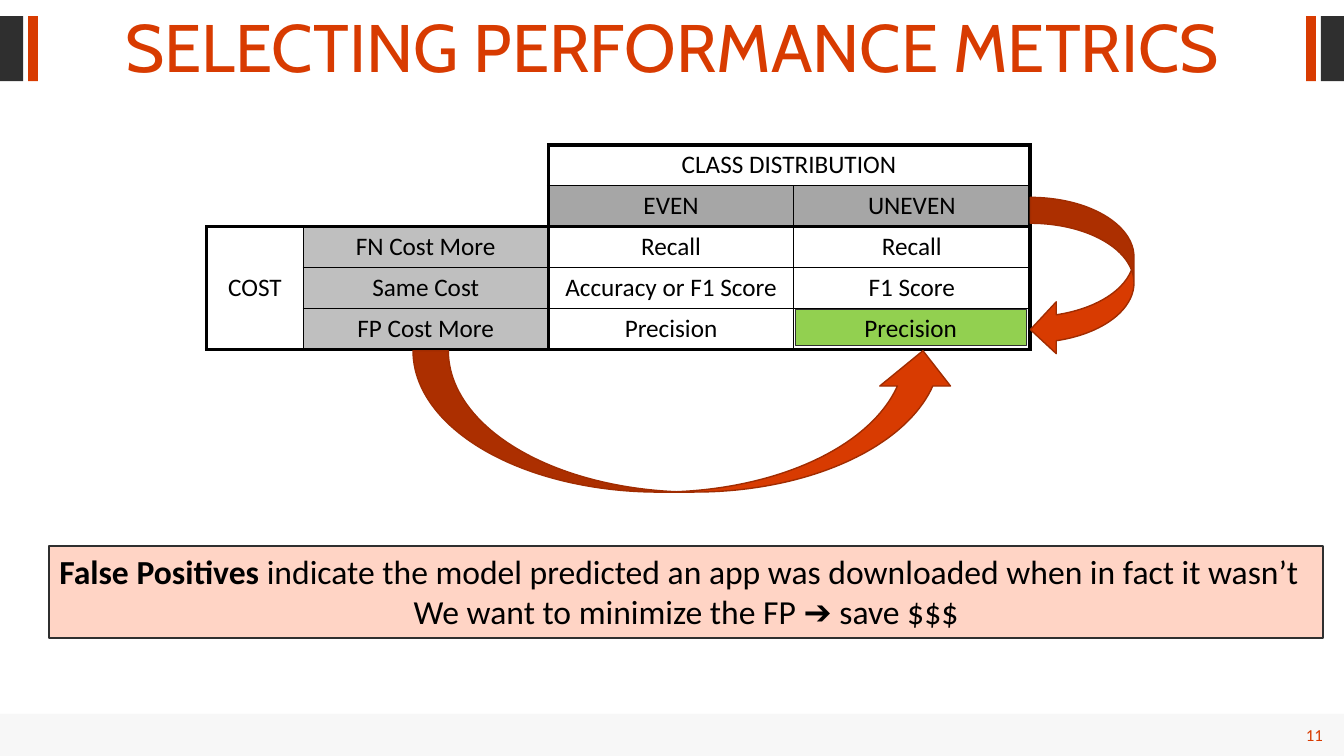
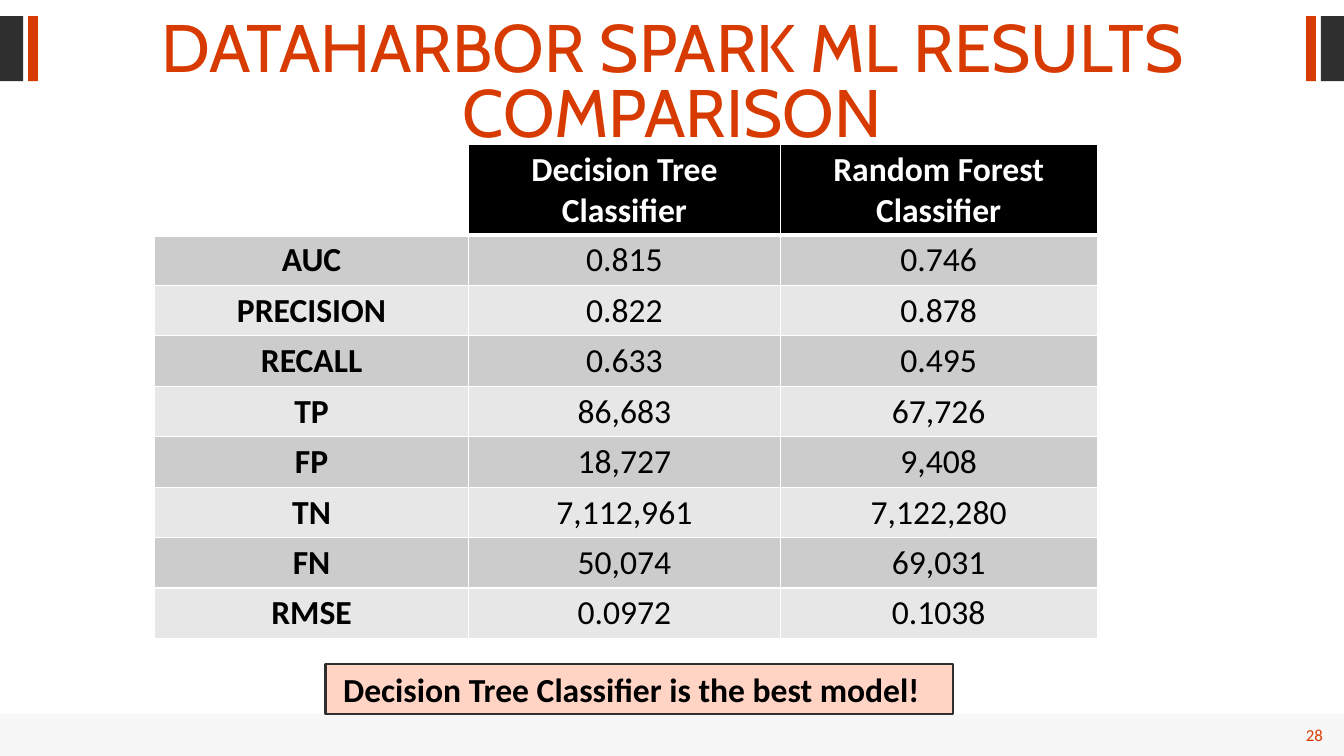
from dataclasses import dataclass
from typing import Any

import lxml.etree
import pptx
import pptx.dml.color
import pptx.enum.shapes
import pptx.enum.text
import pptx.oxml.ns
import pptx.util

Pt = pptx.util.Pt
SHAPE = pptx.enum.shapes.MSO_SHAPE
ALIGN = pptx.enum.text.PP_ALIGN
ANCHOR = pptx.enum.text.MSO_ANCHOR
qn = pptx.oxml.ns.qn

# Shared look
SLIDE_W, SLIDE_H = 960, 540
ORANGE, DARK, BAND, PEACH = "D83B01", "2F2F2F", "E6E6E6", "FFD4C5"
BLACK, WHITE = "000000", "FFFFFF"
BODY_FONT, TITLE_FONT = "Calibri", "Cabin"


@dataclass(frozen=True)
class Box:
    left: float
    top: float
    width: float
    height: float

    def lengths(self) -> list[int]:
        return [Pt(v) for v in (self.left, self.top, self.width, self.height)]


@dataclass(frozen=True)
class Style:
    size: float
    color: str = BLACK
    bold: bool = False
    font: str = BODY_FONT


@dataclass(frozen=True)
class Para:
    runs: tuple[tuple[str, Style], ...]
    align: Any = ALIGN.CENTER
    spacing: float = 1.0


@dataclass(frozen=True)
class Cell:
    row: int
    col: int
    text: str
    style: Style
    fill: str | None = None
    rows: int = 1
    cols: int = 1
    anchor: Any = ANCHOR.TOP


@dataclass(frozen=True)
class Grid:
    left: float
    top: float
    widths: list[float]
    heights: list[float]
    v_lines: list[float]
    h_lines: list[float]
    line_color: str


SIDE_MARKS = [
    (Box(0, 11.5, 16.5, 46.5), DARK),
    (Box(20, 11.5, 7, 46.5), ORANGE),
]


# Helpers
def rgb(value: str) -> pptx.dml.color.RGBColor:
    return pptx.dml.color.RGBColor.from_string(value)


def set_values(target: Any, values: dict[str, Any]) -> None:
    for name, value in values.items():
        setattr(target, name, value)


def write(tf: Any, paras: list[Para]) -> None:
    for i, para in enumerate(paras):
        p = tf.paragraphs[0] if i == 0 else tf.add_paragraph()
        set_values(p, {"alignment": para.align, "line_spacing": para.spacing})
        for text, style in para.runs:
            r = p.add_run()
            r.text = text
            set_values(r.font, {"size": Pt(style.size), "bold": style.bold, "name": style.font})
            r.font.color.rgb = rgb(style.color)


def add_shape(s: Any, kind: Any, box: Box, fill: str,
              line: str | None = None, weight: float = 1) -> Any:
    sp = s.shapes.add_shape(kind, *box.lengths())
    sp.shadow.inherit = False
    sp.fill.solid()
    sp.fill.fore_color.rgb = rgb(fill)
    if line:
        sp.line.color.rgb = rgb(line)
        sp.line.width = Pt(weight)
    else:
        sp.line.fill.background()
    return sp


def add_text(s: Any, box: Box, para: Para, anchor: Any = ANCHOR.TOP) -> None:
    tf = s.shapes.add_textbox(*box.lengths()).text_frame
    set_values(tf, {"word_wrap": True, "vertical_anchor": anchor})
    write(tf, [para])


def add_callout(s: Any, box: Box, paras: list[Para], inset: float = 7.2) -> None:
    tf = add_shape(s, SHAPE.RECTANGLE, box, PEACH, DARK, 1.5).text_frame
    set_values(tf, {"word_wrap": True, "vertical_anchor": ANCHOR.TOP, "margin_left": Pt(inset)})
    write(tf, paras)


def add_border(tc: Any, side: str, weight: float, color: str) -> None:
    ln = lxml.etree.SubElement(tc.get_or_add_tcPr(), qn(f"a:ln{side}"), w=str(Pt(weight)))
    fill = lxml.etree.SubElement(ln, qn("a:solidFill"))
    lxml.etree.SubElement(fill, qn("a:srgbClr"), val=color)


def add_grid(s: Any, grid: Grid, cells: list[Cell]) -> None:
    box = Box(grid.left, grid.top, sum(grid.widths), sum(grid.heights))
    table = s.shapes.add_table(len(grid.heights), len(grid.widths), *box.lengths()).table
    set_values(table, {"first_row": False, "horz_banding": False})
    for column, width in zip(table.columns, grid.widths):
        column.width = Pt(width)
    for row, height in zip(table.rows, grid.heights):
        row.height = Pt(height)

    for cell in cells:
        end_row, end_col = cell.row + cell.rows, cell.col + cell.cols
        origin = table.cell(cell.row, cell.col)
        if cell.rows * cell.cols > 1:
            origin.merge(table.cell(end_row - 1, end_col - 1))
        for row in range(cell.row, end_row):
            for col in range(cell.col, end_col):
                part = table.cell(row, col)
                first = (row, col) == (cell.row, cell.col)
                # The first cell carries every edge, the others only outer ones
                edges = [
                    ("L", grid.v_lines[cell.col], col == cell.col),
                    ("R", grid.v_lines[end_col], col == end_col - 1),
                    ("T", grid.h_lines[cell.row], row == cell.row),
                    ("B", grid.h_lines[end_row], row == end_row - 1),
                ]
                for side, weight, outer in edges:
                    if cell.text and (first or outer):
                        add_border(part._tc, side, weight, grid.line_color)
                if cell.fill:
                    part.fill.solid()
                    part.fill.fore_color.rgb = rgb(cell.fill)
                else:
                    part.fill.background()
        origin.vertical_anchor = cell.anchor
        if cell.text:
            write(origin.text_frame, [Para(((cell.text, cell.style),))])


def add_base(prs: Any, title: str, number: int) -> Any:
    s = prs.slides.add_slide(prs.slide_layouts[6])
    # Side marks, mirrored left and right
    for box, color in SIDE_MARKS:
        mirrored = Box(SLIDE_W - box.left - box.width, box.top, box.width, box.height)
        for place in (box, mirrored):
            add_shape(s, SHAPE.RECTANGLE, place, color)
    # Footer band and slide number
    band = add_shape(s, SHAPE.RECTANGLE, Box(0, 510, SLIDE_W, 30), BAND)
    color = band.fill._xPr.find(qn("a:solidFill")).find(qn("a:srgbClr"))
    lxml.etree.SubElement(color, qn("a:alpha"), val="30000")
    add_text(s, Box(889, 514, 63, 22),
             Para(((str(number), Style(12, ORANGE)),), ALIGN.RIGHT), ANCHOR.MIDDLE)
    # Title
    add_text(s, Box(37.5, 11.5, 885.5, 55.5),
             Para(((title, Style(48, ORANGE, font=TITLE_FONT)),), spacing=0.8))
    return s


# Slides
def add_metrics_slide(prs: Any) -> None:
    s = add_base(prs, "SELECTING PERFORMANCE METRICS", 11)
    style = Style(18)
    costs = [
        ("FN Cost More", "Recall", "Recall"),
        ("Same Cost", "Accuracy or F1 Score", "F1 Score"),
        ("FP Cost More", "Precision", "Precision"),
    ]
    cells = [
        Cell(0, 0, "", style, rows=2, cols=2),
        Cell(0, 2, "CLASS DISTRIBUTION", style, cols=2),
        Cell(1, 2, "EVEN", style, "A6A6A6"),
        Cell(1, 3, "UNEVEN", style, "A6A6A6"),
        Cell(2, 0, "COST", style, rows=3, anchor=ANCHOR.MIDDLE),
    ]
    cells += [Cell(row, col, text, style, "BFBFBF" if col == 1 else None)
              for row, texts in enumerate(costs, 2)
              for col, text in enumerate(texts, 1)]
    add_grid(s, Grid(147.6, 103.5, [69, 175, 175.5, 168.5], [29.25] * 5,
                     [3, 1, 2.25, 1, 3], [3, 1, 2.25, 1, 1, 3], BLACK), cells)

    # Arrows to the chosen metric
    for kind, box in [(SHAPE.CURVED_UP_ARROW, Box(295, 250.5, 389.5, 101)),
                      (SHAPE.CURVED_LEFT_ARROW, Box(736, 141, 74, 113))]:
        add_shape(s, kind, box, ORANGE, "A02C01")
    choice = add_shape(s, SHAPE.RECTANGLE, Box(568, 221, 165, 26), "92D050", DARK, 0.5)
    choice.text_frame.vertical_anchor = ANCHOR.MIDDLE
    write(choice.text_frame, [Para((("Precision", style),))])

    add_callout(s, Box(35.3, 390, 909.5, 65.5), [
        Para((("False Positives ", Style(24, bold=True)),
              ("indicate the model predicted an app was downloaded when in fact it wasn’t",
               Style(24))), ALIGN.LEFT),
        Para((("We want to minimize the FP ➔ save $$$", Style(24)),)),
    ])


def add_results_slide(prs: Any) -> None:
    s = add_base(prs, "DATAHARBOR SPARK ML RESULTS COMPARISON", 28)
    add_callout(s, Box(232.5, 474, 448.5, 36), [
        Para((("Decision Tree Classifier is the best model!", Style(24, bold=True)),),
             ALIGN.LEFT),
    ], inset=12.6)

    results = [
        ("", "Decision Tree Classifier", "Random Forest Classifier"),
        ("AUC", "0.815", "0.746"),
        ("PRECISION", "0.822", "0.878"),
        ("RECALL", "0.633", "0.495"),
        ("TP", "86,683", "67,726"),
        ("FP", "18,727", "9,408"),
        ("TN", "7,112,961", "7,122,280"),
        ("FN", "50,074", "69,031"),
        ("RMSE", "0.0972", "0.1038"),
    ]
    cells = []
    for row, texts in enumerate(results):
        for col, text in enumerate(texts):
            if row == 0:
                cells.append(Cell(row, col, text, Style(24, WHITE, True),
                                  BLACK if text else None))
            else:
                cells.append(Cell(row, col, text, Style(24, bold=col == 0),
                                  "CCCCCC" if row % 2 else "E7E7E7", anchor=ANCHOR.MIDDLE))
    add_grid(s, Grid(110.3, 103, [224.5, 222.5, 226.5], [62] + [36] * 8,
                     [1] * 4, [1, 3] + [1] * 8, WHITE), cells)


def main() -> None:
    prs = pptx.Presentation()
    set_values(prs, {"slide_width": Pt(SLIDE_W), "slide_height": Pt(SLIDE_H)})
    add_metrics_slide(prs)
    add_results_slide(prs)
    prs.save("out.pptx")


if __name__ == "__main__":
    main()
